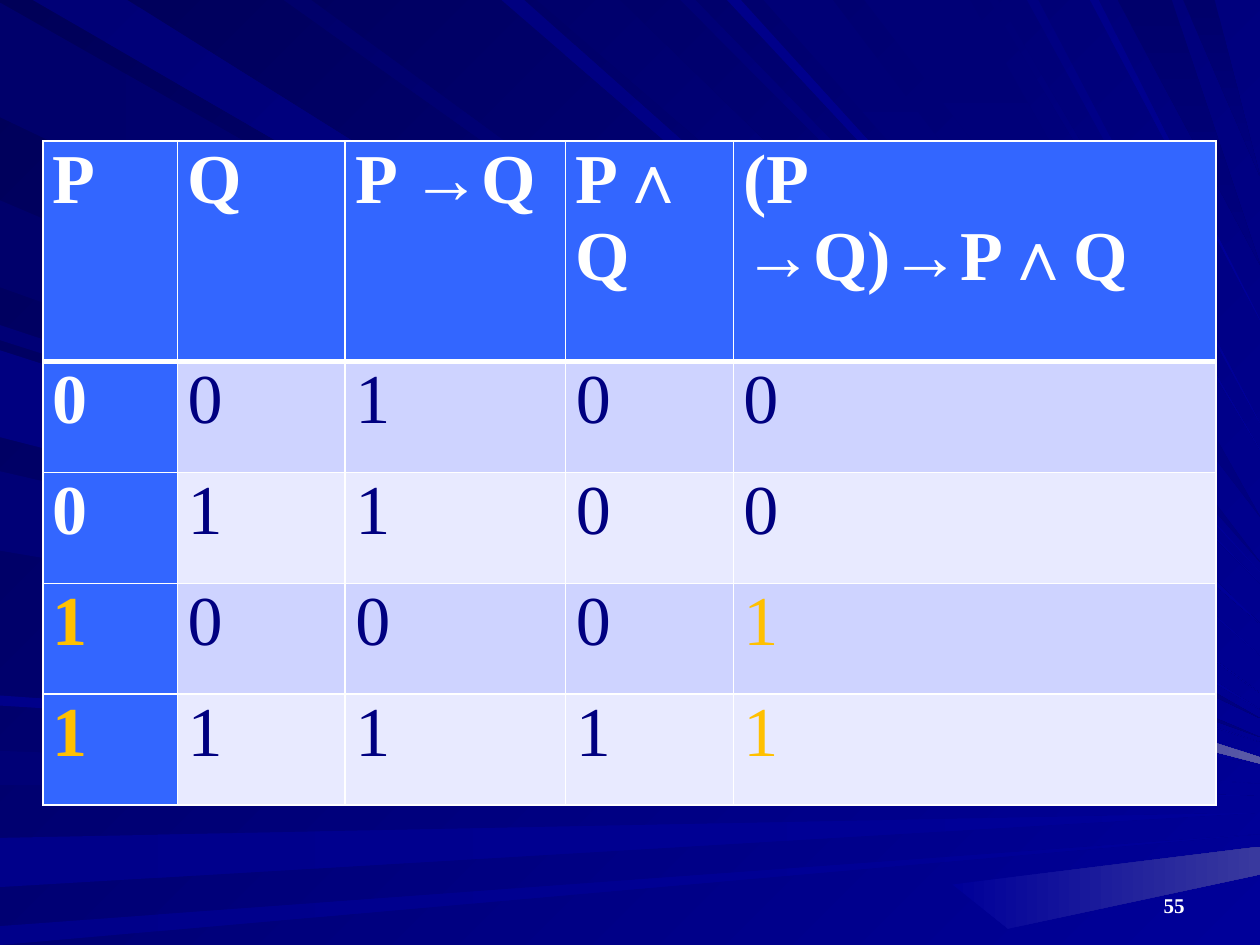
from typing import NamedTuple

import pptx
import pptx.dml.color
import pptx.enum.text
import pptx.oxml
import pptx.oxml.ns
import pptx.util
from pptx.util import Inches

FONT = "Times New Roman"
COLORS = {
    "night": "000058",
    "dark": "00006B",
    "dusk": "000076",
    "navy": "000080",
    "soft": "00008A",
    "deep": "000099",
    "haze": "39399E",
    "glow": "5A5AA6",
    "head": "3366FF",
    "odd": "CED3FF",
    "even": "E8EAFF",
    "white": "FFFFFF",
    "gold": "FFC000",
}


class Ray(NamedTuple):
    side: str
    near: float
    far: float
    tip: float
    start: str
    end: str


class Shard(NamedTuple):
    points: list[tuple[float, float]]
    end: str


RAYS = [
    Ray("left", 0.02, 0.93, 5.7, "dark", "navy"),
    Ray("top", 0.26, 1.01, 5.63, "dusk", "deep"),
    Ray("left", 5.96, 6.23, 6.32, "dusk", "deep"),
    Ray("left", 6.65, 7.04, 6.45, "soft", "deep"),
    Ray("left", 7.35, 7.5, 6.62, "soft", "deep"),
    Ray("left", 2.58, 2.7, 5.89, "dusk", "deep"),
    Ray("left", 1.59, 2.28, 5.85, "dark", "navy"),
    Ray("top", 3.98, 4.16, 5.2, "navy", "deep"),
    Ray("top", 4.26, 4.92, 4.95, "dark", "deep"),
    Ray("top", 5.4, 5.52, 4.63, "dusk", "deep"),
    Ray("top", 6.06, 6.61, 4.46, "dusk", "navy"),
    Ray("top", 8.87, 9.3, 2.1, "dark", "navy"),
    Ray("top", 9.39, 9.64, 1.4, "dark", "navy"),
    Ray("left", 2.78, 3.42, 6, "navy", "deep"),
    Ray("left", 3.74, 4.37, 6.06, "dusk", "deep"),
    Ray("left", 5.52, 5.6, 6.22, "soft", "deep"),
    Ray("top", 2.25, 2.47, 5.5, "dark", "deep"),
    Ray("top", 5.77, 5.88, 4.54, "soft", "deep"),
    Ray("top", 6.86, 7.7, 4.1, "dusk", "navy"),
    Ray("top", 7.85, 7.92, 3.57, "dusk", "deep"),
    Ray("top", 8.15, 8.24, 3.36, "navy", "deep"),
    Ray("top", 8.65, 8.72, 2.54, "soft", "deep"),
    Ray("left", 2.83, 3.47, 6.03, "navy", "deep"),
]
SHARDS = [
    Shard([(7.56, 7.02), (8, 7.37), (10, 6.94), (10, 6.72)], "haze"),
    Shard([(6.37, 4.85), (6.33, 5.11), (10, 6.06), (10, 6.01)], "glow"),
]

WIDTHS = [1.07, 1.33, 1.75, 1.33, 3.83]
HEIGHTS = [1.75] + [0.88] * 4
HEADS = ["P", "Q", "P →Q", "P∧Q", "(P →Q)→P∧Q"]
ROWS = [HEADS, *map(list, ("00100", "01100", "10001", "11111"))]


def tint(name: str) -> pptx.dml.color.RGBColor:
    return pptx.dml.color.RGBColor.from_string(COLORS[name])


def blend(fill, start: str, end: str, angle: int) -> None:
    fill.gradient()
    fill.gradient_angle = -angle % 360
    for stop, name in zip(fill.gradient_stops, (start, end)):
        stop.color.rgb = tint(name)


def draw_shape(slide, points: list[tuple[float, float]], start: str, end: str, angle: int) -> None:
    first, *rest = [(Inches(x), Inches(y)) for x, y in points]
    pen = slide.shapes.build_freeform(*first)
    pen.add_line_segments(rest, close=True)
    shape = pen.convert_to_shape()
    shape.shadow.inherit = False
    shape.line.fill.background()
    blend(shape.fill, start, end, angle)


def draw_ray(slide, ray: Ray) -> None:
    if ray.side == "left":
        base, angle = [(0, ray.near), (0, ray.far)], 0
    else:
        base = [(ray.near, 0), (ray.far, 0)]
        angle = 90 if ray.end == "navy" else 45
    draw_shape(slide, base + [(10, ray.tip)], ray.start, ray.end, angle)


def style(frame, text: str, size: int, name: str, bold: bool, align) -> None:
    frame.text = text
    line = frame.paragraphs[0]
    line.alignment = align
    font = line.runs[0].font
    font.name, font.size, font.bold = FONT, pptx.util.Pt(size), bold
    font.color.rgb = tint(name)


def edge(cell, side: str, width: int) -> None:
    cell._tc.get_or_add_tcPr().append(pptx.oxml.parse_xml(
        f'<a:ln{side} {pptx.oxml.ns.nsdecls("a")} w="{pptx.util.Pt(width)}">'
        f'<a:solidFill><a:srgbClr val="{COLORS["white"]}"/></a:solidFill></a:ln{side}>'))


def draw_cell(cell, text: str, row: int, col: int) -> None:
    lead = row == 0 or col == 0
    gold = col in (0, len(WIDTHS) - 1) and text == "1"
    name = "gold" if gold else "white" if lead else "navy"
    for side in "LRTB":
        edge(cell, side, 3 if (row, side) in ((0, "B"), (1, "T")) else 1)
    cell.fill.solid()
    cell.fill.fore_color.rgb = tint("head" if lead else "odd" if row % 2 else "even")
    cell.margin_left = cell.margin_right = Inches(0.08)
    cell.margin_top = cell.margin_bottom = 0
    style(cell.text_frame, text, 40, name, lead, pptx.enum.text.PP_ALIGN.JUSTIFY)


def draw_table(slide) -> None:
    grid = slide.shapes.add_table(
        len(ROWS), len(WIDTHS), Inches(0.34), Inches(1.12),
        Inches(sum(WIDTHS)), Inches(sum(HEIGHTS))).table
    for col, width in zip(grid.columns, WIDTHS):
        col.width = Inches(width)
    for row, height in zip(grid.rows, HEIGHTS):
        row.height = Inches(height)
    for r, texts in enumerate(ROWS):
        for c, text in enumerate(texts):
            draw_cell(grid.cell(r, c), text, r, c)


def main() -> None:
    deck = pptx.Presentation()
    deck.slide_width, deck.slide_height = Inches(10), Inches(7.5)
    slide = deck.slides.add_slide(deck.slide_layouts[6])
    blend(slide.background.fill, "night", "deep", 45)
    for ray in RAYS:
        draw_ray(slide, ray)
    for shard in SHARDS:
        draw_shape(slide, shard.points, "deep", shard.end, 0)
    draw_table(slide)
    frame = slide.shapes.add_textbox(
        Inches(7.17), Inches(6.83), Inches(2.33), Inches(0.5)).text_frame
    frame.word_wrap = True
    frame.vertical_anchor = pptx.enum.text.MSO_ANCHOR.BOTTOM
    style(frame, "55", 12, "white", True, pptx.enum.text.PP_ALIGN.RIGHT)
    deck.save("out.pptx")


if __name__ == "__main__":
    main()
